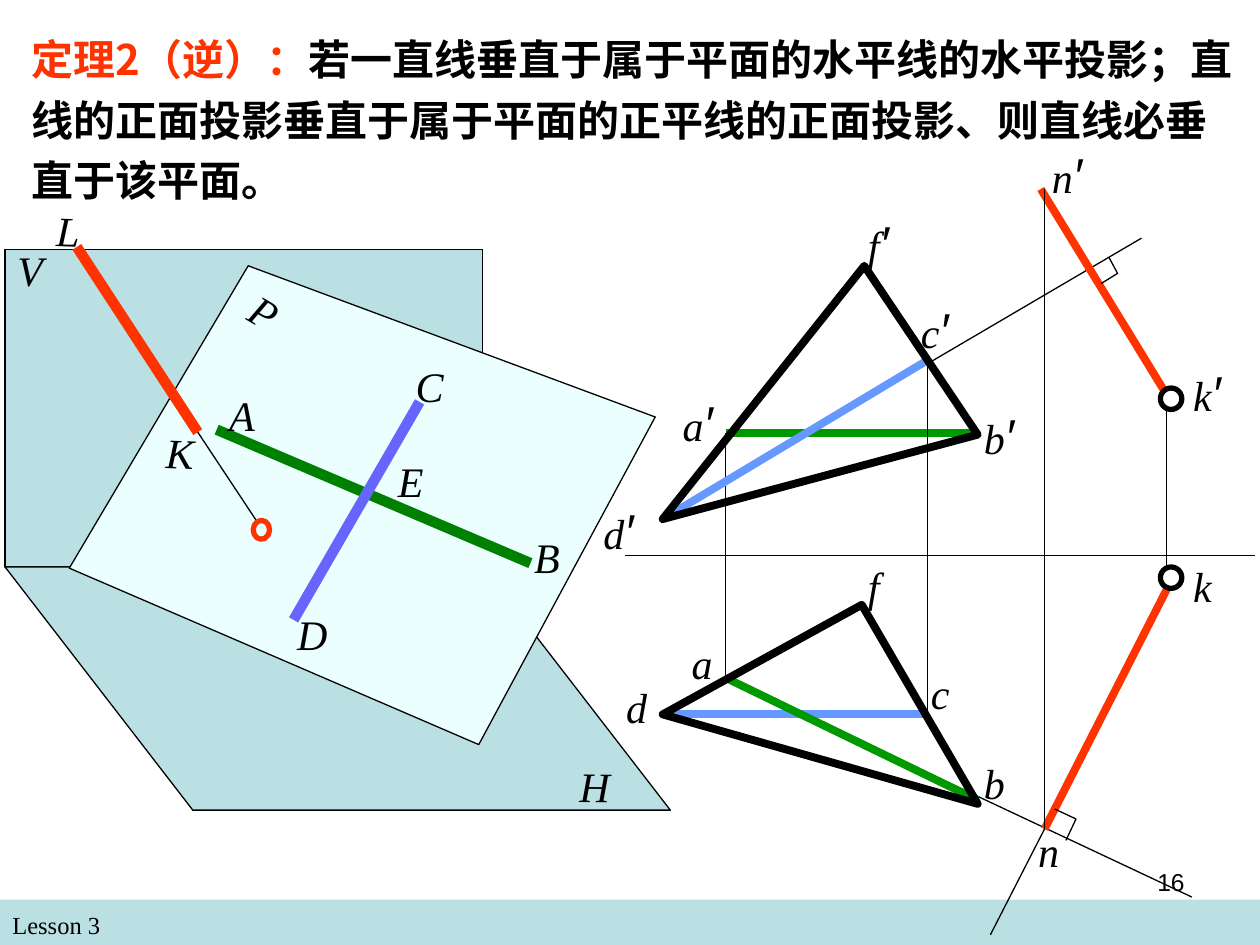
from typing import NamedTuple, Optional

from lxml import etree
from pptx import Presentation
from pptx import util as u
from pptx.dml.color import RGBColor
from pptx.enum import shapes, text
from pptx.oxml.ns import qn

COLORS = {
    "black": "000000", "white": "FFFFFF", "band": "BBE0E3", "plane": "EBFFFF",
    "red": "FF3300", "blue": "6699FF", "green": "009900",
    "violet": "6666FF", "dark green": "008000",
}
THIN, RING, BOLD, BAR = 0.75, 3, 4.5, 6
SERIF, SANS, HAN = "Times New Roman", "Arial", "Noto Sans CJK SC"
LETTER = {"name": SERIF, "size": u.Pt(24), "italic": True}
PRIME = {"name": SANS, "size": u.Pt(28), "italic": True}
HEADING = {"name": HAN, "size": u.Pt(24), "bold": True}
FOOTER = {"name": SERIF, "size": u.Pt(14)}
NUMBER = {"name": SANS, "size": u.Pt(14)}

Point = tuple[float, float]


class Line(NamedTuple):
    start: Point
    end: Point
    color: str = "black"
    weight: float = THIN


class Outline(NamedTuple):
    points: list[Point]
    weight: float = THIN
    fill: Optional[str] = None
    closed: bool = True


class Preset(NamedTuple):
    kind: shapes.MSO_SHAPE
    left: float
    top: float
    width: float
    height: float
    fill: str
    color: Optional[str] = "black"
    weight: float = THIN
    angle: float = 0


class Label(NamedTuple):
    letters: str
    left: float
    top: float
    width: float = 0.58
    angle: float = 0


def grid(inches: float) -> u.Cm:
    """Layout is planned on an inch grid."""
    return u.Cm(inches * 2.54)


def rgb(name: str) -> RGBColor:
    return RGBColor.from_string(COLORS[name])


def style(shape, fill: Optional[str], color: Optional[str], weight: float) -> None:
    shape.shadow.inherit = False
    if fill:
        shape.fill.solid()
        shape.fill.fore_color.rgb = rgb(fill)
    else:
        shape.fill.background()
    if color:
        shape.line.color.rgb = rgb(color)
        shape.line.width = u.Pt(weight)
        etree.SubElement(shape.line._get_or_add_ln(), qn("a:round"))
    else:
        shape.line.fill.background()


def draw_line(slide, line: Line) -> None:
    ends = [grid(v) for v in (*line.start, *line.end)]
    connector = slide.shapes.add_connector(shapes.MSO_CONNECTOR.STRAIGHT, *ends)
    connector.line.color.rgb = rgb(line.color)
    connector.line.width = u.Pt(line.weight)
    etree.SubElement(connector._element.spPr, qn("a:effectLst"))


def draw_outline(slide, outline: Outline) -> None:
    first, *rest = [(grid(x), grid(y)) for x, y in outline.points]
    builder = slide.shapes.build_freeform(*first)
    builder.add_line_segments(rest, close=outline.closed)
    style(builder.convert_to_shape(), outline.fill, "black", outline.weight)


def draw_preset(slide, preset: Preset) -> None:
    shape = slide.shapes.add_shape(preset.kind, *map(grid, preset[1:5]))
    shape.rotation = preset.angle
    style(shape, preset.fill, preset.color, preset.weight)


def add_text(slide, box: tuple, runs: list[tuple[str, dict, str]]):
    """Place one paragraph made of (words, format, colour) runs."""
    frame_box = slide.shapes.add_textbox(*map(grid, box))
    frame_box.text_frame.word_wrap = True
    paragraph = frame_box.text_frame.paragraphs[0]
    for words, fmt, color in runs:
        run = paragraph.add_run()
        run.text = words
        for attribute, value in fmt.items():
            setattr(run.font, attribute, value)
        run.font.color.rgb = rgb(color)
        if fmt["name"] == HAN:
            etree.SubElement(run._r.get_or_add_rPr(), qn("a:ea"), typeface=HAN)
    return frame_box


def draw_label(slide, label: Label) -> None:
    runs = [(c, PRIME if c == "′" else LETTER, "black") for c in label.letters]
    height = 0.57 if "′" in label.letters else 0.5
    box = add_text(slide, (label.left, label.top, label.width, height), runs)
    box.rotation = label.angle


DRAW = {Line: draw_line, Outline: draw_outline, Preset: draw_preset, Label: draw_label}
RECT, OVAL = shapes.MSO_SHAPE.RECTANGLE, shapes.MSO_SHAPE.OVAL

# Points of the two projections: front (primed) and top
A1, C1, D1, N1 = (5.76, 3.44), (7.36, 2.86), (5.26, 4.12), (8.26, 1.5)
A, B, C, D, N = (5.76, 5.38), (7.76, 6.35), (7.36, 5.67), (5.26, 5.67), (8.29, 6.58)
FOOT = (1.57, 3.43)  # where LK meets the plane P

PROJECTIONS = [
    Line(A, (9.46, 7.12)),
    Line((7.76, 3.44), A1, "green", BOLD),
    Line(D, C, "blue", BOLD),
    Line(A1, A),
    Line(A, B, "green", BOLD),
    Line(D1, (9.06, 1.89)),
    Line(C, C1),
    Line(C1, D1, "blue", BOLD),
    Line((9.27, 3.15), N1, "red", BOLD),
    Line(N, (9.31, 4.58), "red", BOLD),
    Line(N, (7.86, 7.42)),
    Line((4.96, 4.41), (9.96, 4.41)),
    # Triangles
    Outline([(6.86, 2.11), D1, (7.76, 3.45)], BOLD),
    Outline([(6.84, 4.8), D, (7.76, 6.38)], BOLD),
    Line((9.26, 3.15), (9.26, 4.6)),
    *(Preset(OVAL, 9.21, y, 0.17, 0.17, "white", weight=RING) for y in (3.08, 4.5)),
    Line(N, (8.29, 1.5)),
    # Right-angle marks
    Outline([(8.37, 6.42), (8.54, 6.5), (8.46, 6.67)], closed=False),
    Outline([(8.8, 2.04), (8.87, 2.17), (8.74, 2.25)], closed=False),
    Label("a′", 5.32, 3.07), Label("c′", 7.21, 2.33, 0.75), Label("n′", 8.25, 1.1),
    Label("f′", 6.79, 1.64), Label("d′", 4.69, 3.92), Label("b′", 7.71, 3.17),
    Label("k′", 9.37, 2.83), Label("a", 5.39, 5.01), Label("c", 7.29, 5.25),
    Label("n", 8.14, 6.5), Label("k", 9.37, 4.4), Label("d", 4.87, 5.36),
    Label("b", 7.71, 5.96), Label("f", 6.79, 4.4),
]

SPACE_VIEW = [
    # Planes V, H and P
    Preset(RECT, 0.04, 1.98, 3.79, 2.52, "band"),
    Outline([(0.04, 4.5), (1.53, 6.43), (5.32, 6.43), (3.83, 4.5)], fill="band"),
    Outline([(1.97, 2.11), (0.55, 4.51), (3.8, 5.91), (5.2, 3.31)], fill="plane"),
    # Lines AB, CD and LK
    Line((1.72, 3.41), (4.21, 4.47), "dark green", BAR),
    Line((2.33, 4.92), (3.33, 3.19), "violet", BAR),
    Line((0.61, 1.96), FOOT, "red", BAR),
    Line(FOOT, (2.08, 4.2)),
    Preset(OVAL, 2.01, 4.13, 0.13, 0.15, "plane", "red", RING, 2.1),
    Label("V", 0.04, 1.89, 0.69), Label("P", 1.91, 2.2, 0.32, 30.7),
    Label("A", 1.72, 3.04, 0.34), Label("K", 1.22, 3.34, 0.34, 2.1),
    Label("L", 0.35, 1.58, 0.34, 2.1), Label("D", 2.26, 4.78, 0.33),
    Label("C", 3.2, 2.81, 0.34), Label("B", 4.14, 4.17, 0.33),
    Label("E", 3.06, 3.57, 0.34), Label("H", 4.5, 5.99, 0.76, 0.6),
]


def main() -> None:
    deck = Presentation()
    deck.slide_width, deck.slide_height = grid(10), grid(7.5)
    slide = deck.slides.add_slide(deck.slide_layouts[6])

    # Footer band
    draw_preset(slide, Preset(RECT, 0, 7.14, 10, 0.36, "band", None))
    add_text(slide, (0, 7.17, 4.83, 0.34), [("Lesson 3", FOOTER, "black")])

    for part in PROJECTIONS + SPACE_VIEW:
        DRAW[type(part)](slide, part)

    # Theorem
    theorem = add_text(slide, (0.15, 0.14, 9.73, 1.54), [
        ("定理2（逆）：", HEADING, "red"),
        ("若一直线垂直于属于平面的水平线的水平投影；直线的正面投影垂直于"
         "属于平面的正平线的正面投影、则直线必垂直于该平面。", HEADING, "black"),
    ])
    theorem.text_frame.paragraphs[0].line_spacing = 1.2

    # Slide number
    number = add_text(slide, (7.17, 6.83, 2.33, 0.52), [("16", NUMBER, "black")])
    number.text_frame.paragraphs[0].alignment = text.PP_ALIGN.RIGHT

    deck.save("out.pptx")


if __name__ == "__main__":
    main()
